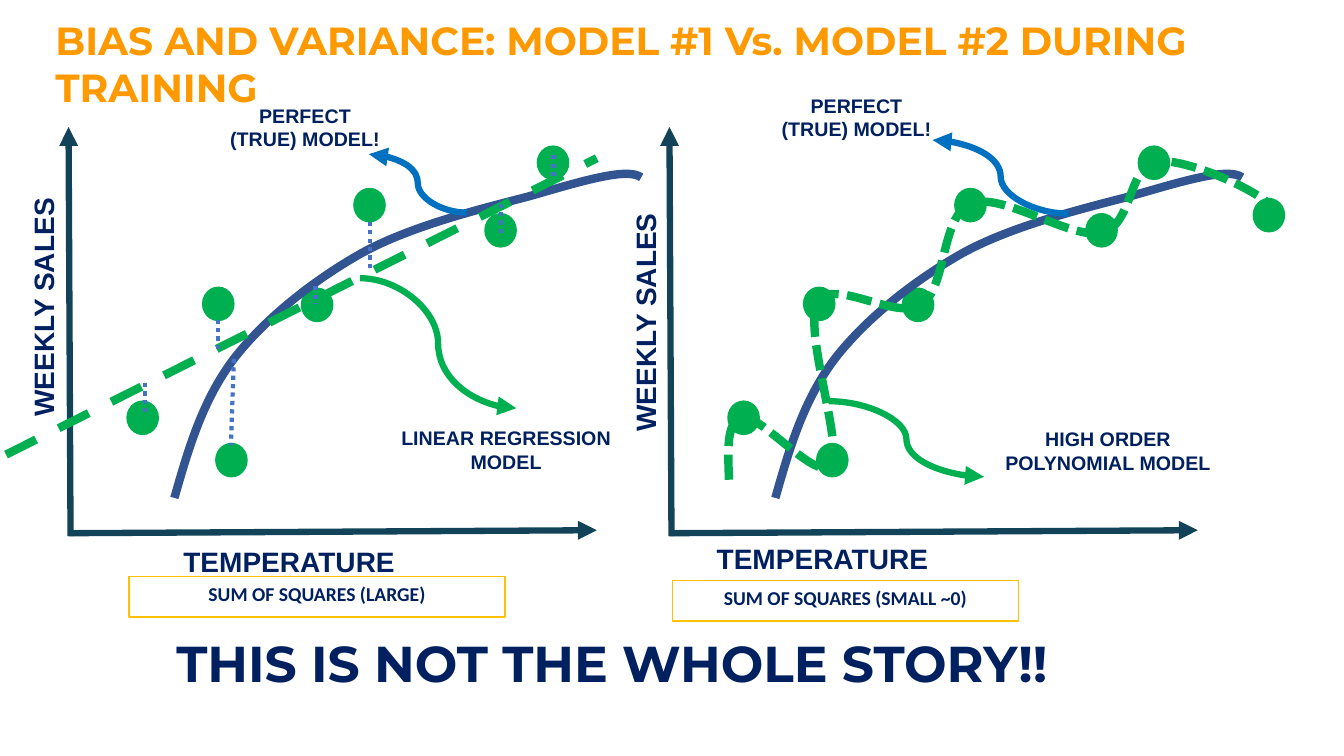
from pptx import Presentation
from pptx import util as u
from pptx.dml.color import RGBColor
from pptx.enum import dml, shapes, text
from pptx.oxml import ns
from lxml import etree

ORANGE = RGBColor(0xFF, 0x99, 0x00)
NAVY = RGBColor(0x00, 0x20, 0x60)
AXIS = RGBColor(0x12, 0x43, 0x59)
GREEN = RGBColor(0x00, 0xB0, 0x50)
CURVE = RGBColor(0x32, 0x54, 0x91)
BLUE = RGBColor(0x00, 0x70, 0xC0)
RESIDUAL = RGBColor(0x44, 0x72, 0xC4)
GOLD = RGBColor(0xFF, 0xC0, 0x00)
WHITE = RGBColor(0xFF, 0xFF, 0xFF)

DASH = dml.MSO_LINE.DASH
SHORT_DASH = dml.MSO_LINE.SQUARE_DOT
DOT = dml.MSO_LINE.ROUND_DOT
STRAIGHT = shapes.MSO_CONNECTOR.STRAIGHT
CURVED = shapes.MSO_CONNECTOR.CURVE


def inches(value):
    return u.Cm(value * 2.54)


def write(frame, words, size=14, font="Arial", color=NAVY, centered=False):
    frame.word_wrap = True
    frame.auto_size = text.MSO_AUTO_SIZE.NONE
    frame.vertical_anchor = text.MSO_ANCHOR.TOP
    frame.text = words
    paragraph = frame.paragraphs[0]
    paragraph.alignment = text.PP_ALIGN.CENTER if centered else text.PP_ALIGN.LEFT
    style = paragraph.runs[0].font
    style.size, style.name, style.bold = u.Pt(size), font, True
    style.color.rgb = color


class SlideBuilder:
    """Places elements on the slide; shift moves a panel to the right."""

    def __init__(self, slide):
        self.slide = slide
        self.shift = 0

    def stroke(self, line, color, width, dash=None):
        line.color.rgb = color
        line.width = u.Pt(width)
        if dash:
            line.dash_style = dash

    def title(self, words, left, top, width, height):
        title = self.slide.shapes.title
        title.left, title.top = inches(left), inches(top)
        title.width, title.height = inches(width), inches(height)
        write(title.text_frame, words, size=28, font="Montserrat", color=ORANGE)

    def label(self, words, left, top, width, height, rotation=0, **style):
        box = self.slide.shapes.add_textbox(*map(inches, (left, top, width, height)))
        box.rotation = rotation
        write(box.text_frame, words, **style)

    def shape(self, kind, left, top, width, height, fill, outline):
        item = self.slide.shapes.add_shape(
            kind, *map(inches, (left + self.shift, top, width, height)))
        item.shadow.inherit = False
        item.fill.solid()
        item.fill.fore_color.rgb = fill
        self.stroke(item.line, outline, 1)
        return item

    def dot(self, left, top):
        self.shape(shapes.MSO_SHAPE.OVAL, left, top, 0.31, 0.33, GREEN, GREEN)

    def result(self, words, left, top, width):
        box = self.shape(shapes.MSO_SHAPE.RECTANGLE, left, top, width, 0.4, WHITE, GOLD)
        write(box.text_frame, words, font="Calibri", centered=True)

    def line(self, x1, y1, x2, y2, color, width=4.5, kind=STRAIGHT, dash=None, arrow=False):
        connector = self.slide.shapes.add_connector(
            kind, *map(inches, (x1 + self.shift, y1, x2 + self.shift, y2)))
        self.stroke(connector.line, color, width, dash)
        properties = connector.element.spPr
        if arrow:
            outline = properties.find(ns.qn("a:ln"))
            etree.SubElement(outline, ns.qn("a:tailEnd"), type="triangle")
        etree.SubElement(properties, ns.qn("a:effectLst"))

    def curve(self, start, segments, color, dash=None):
        """Joined cubic curves; each segment is two controls and an end."""
        def place(point):
            return inches(point[0] + self.shift), inches(point[1])

        builder = self.slide.shapes.build_freeform(*place(start))
        builder.add_line_segments([place(end) for *_, end in segments], close=False)
        outline = builder.convert_to_shape()
        # Bend each straight segment with its two control points
        straight = list(outline.element.iter(ns.qn("a:lnTo")))
        for segment, controls in zip(straight, segments):
            bend = etree.Element(ns.qn("a:cubicBezTo"))
            for x, y in map(place, controls):
                etree.SubElement(bend, ns.qn("a:pt"),
                                 x=str(x - outline.left), y=str(y - outline.top))
            segment.getparent().replace(segment, bend)
        outline.shadow.inherit = False
        outline.fill.background()
        self.stroke(outline.line, color, 6, dash)


SALES_DOTS = [(1.26, 3.98), (2.01, 2.85), (2.14, 4.4), (2.99, 2.86),
              (3.51, 1.87), (4.81, 2.12), (5.33, 1.45)]
TRUE_MODEL = [((1.87, 4.45), (2.01, 3.97), (2.32, 3.56)),
              ((2.63, 3.16), (3.11, 2.78), (3.59, 2.51)),
              ((4.08, 2.24), (4.78, 2.07), (5.24, 1.95)),
              ((5.7, 1.82), (6.22, 1.65), (6.36, 1.76))]
POLYNOMIAL = [((7.22, 4.46), (7.2, 4.17), (7.37, 4.14)),
              ((7.54, 4.11), (8.12, 4.8), (8.24, 4.61)),
              ((8.37, 4.42), (7.96, 3.27), (8.11, 3)),
              ((8.26, 2.74), (8.89, 3.19), (9.14, 3.02)),
              ((9.39, 2.86), (9.33, 2.14), (9.63, 2.02)),
              ((9.93, 1.9), (10.62, 2.38), (10.93, 2.31)),
              ((11.24, 2.23), (11.19, 1.63), (11.48, 1.6)),
              ((11.77, 1.57), (12.56, 1.91), (12.68, 2.12))]
RESIDUALS = [(2.16, 3.17, 2.16, 3.46), (2.32, 3.56, 2.29, 4.42),
             (3.67, 2.2, 3.67, 2.69), (3.13, 2.84, 3.13, 3.01),
             (1.44, 3.8, 1.44, 4.09), (4.97, 2.02, 4.97, 2.31),
             (5.49, 1.54, 5.49, 1.78)]
PANEL_STEP = 5.96


def draw_chart(page, shift):
    """Axes, observations and true model, the same in both panels."""
    page.shift = shift
    page.line(0.68, 5.29, 5.92, 5.26, AXIS, arrow=True)
    page.line(0.7, 5.32, 0.68, 1.26, AXIS, arrow=True)
    for left, top in SALES_DOTS:
        page.dot(left, top)
    page.curve((1.73, 4.94), TRUE_MODEL, CURVE)
    page.shift = 0


def main():
    deck = Presentation()
    deck.slide_width, deck.slide_height = inches(13.33), inches(7.5)
    page = SlideBuilder(deck.slides.add_slide(deck.slide_layouts[5]))
    page.title("BIAS AND VARIANCE: MODEL #1 Vs. MODEL #2 DURING TRAINING",
               0.45, 0.11, 12.74, 1.04)

    # Model #2: high order polynomial
    draw_chart(page, PANEL_STEP)
    page.dot(12.43, 1.97)
    page.line(10.6, 2.12, 9.25, 1.39, BLUE, kind=CURVED, arrow=True)
    page.line(8.22, 3.98, 9.76, 4.73, GREEN, kind=CURVED, arrow=True)
    page.curve((7.23, 4.76), POLYNOMIAL, GREEN, SHORT_DASH)

    # Model #1: linear regression with residuals
    draw_chart(page, 0)
    page.line(0.06, 4.51, 5.92, 1.57, GREEN, 6, dash=DASH)
    page.line(4.63, 2.11, 3.66, 1.53, BLUE, kind=CURVED, arrow=True)
    page.line(3.57, 2.76, 5.12, 4.05, GREEN, kind=CURVED, arrow=True)
    for residual in RESIDUALS:
        page.line(*residual, RESIDUAL, 3, dash=DOT)

    # Axis names
    page.label("TEMPERATURE", 1.72, 5.35, 3, 0.44, size=20)
    page.label("TEMPERATURE", 7.01, 5.32, 3, 0.44, size=20)
    page.label("WEEKLY SALES", -0.96, 2.62, 2.78, 0.44, rotation=270, size=20)
    page.label("WEEKLY SALES", 5.32, 2.75, 2.49, 0.77, rotation=270, size=20)

    # Model names
    for left, top in ((2.14, 0.98), (7.61, 0.88)):
        page.label("PERFECT (TRUE) MODEL!", left, top, 1.77, 1.01, centered=True)
    page.label("LINEAR REGRESSION MODEL", 3.79, 4.18, 2.46, 0.71, centered=True)
    page.label("HIGH ORDER POLYNOMIAL MODEL", 9.76, 4.19, 2.46, 0.71, centered=True)

    # Results and closing line
    page.result("SUM OF SQUARES (LARGE)", 1.28, 5.72, 3.73)
    page.result("SUM OF SQUARES (SMALL ~0)", 6.67, 5.76, 3.43)
    page.label("THIS IS NOT THE WHOLE STORY!!", 1.65, 6.22, 9.75, 0.71,
               size=36, font="Montserrat")
    deck.save("out.pptx")


if __name__ == "__main__":
    main()
